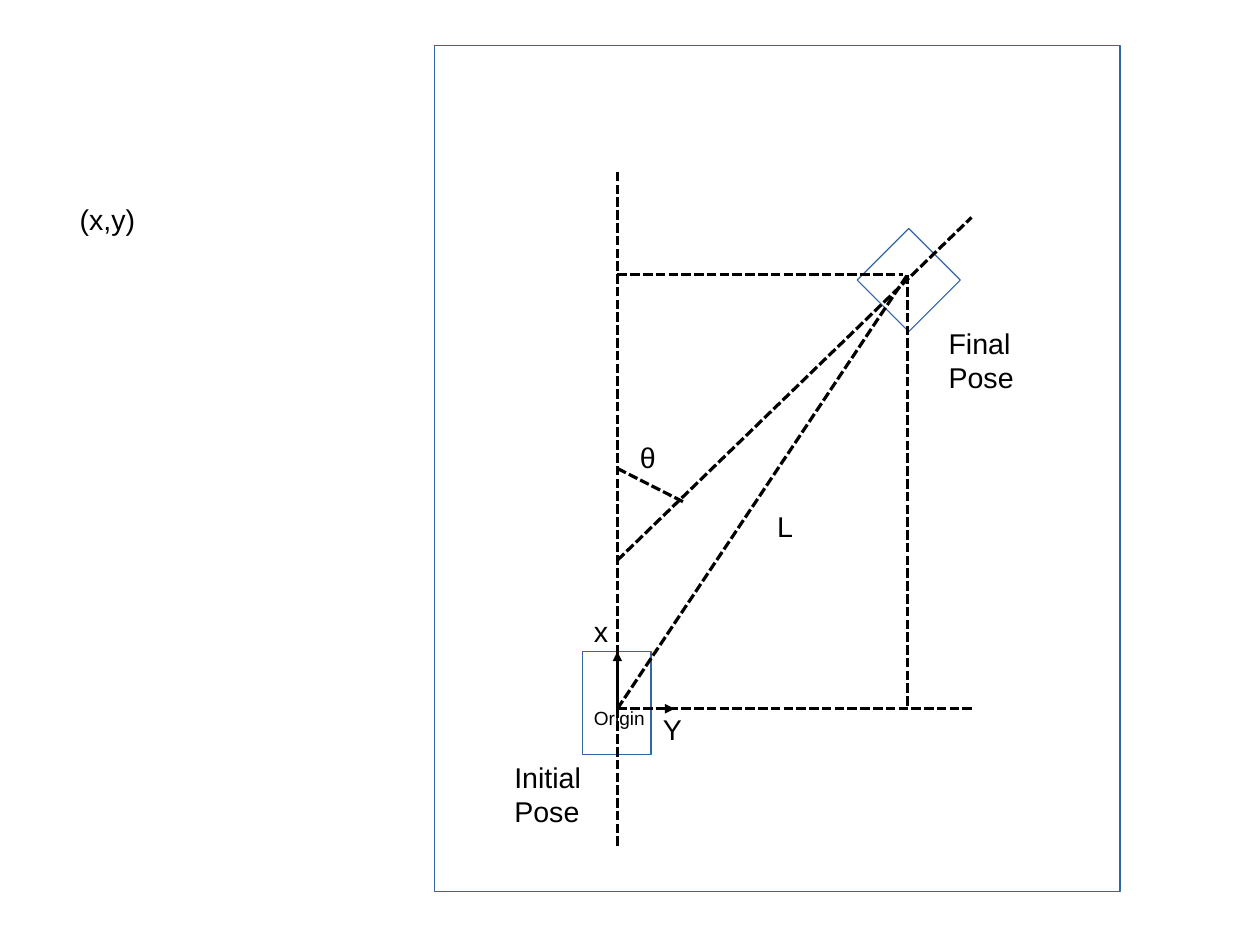
from dataclasses import dataclass

from lxml.etree import SubElement
from pptx import Presentation
from pptx.dml.color import RGBColor
from pptx.enum.dml import MSO_LINE
from pptx.enum.shapes import MSO_CONNECTOR, MSO_SHAPE
from pptx.enum.text import MSO_ANCHOR, PP_ALIGN
from pptx.oxml.ns import qn
from pptx.util import Cm, Pt


@dataclass(frozen=True)
class Theme:
    font: str = "Arial"
    ink: RGBColor = RGBColor(0x00, 0x00, 0x00)
    outline: RGBColor = RGBColor(0x34, 0x65, 0xA4)
    label_size: int = 18
    small_size: int = 12
    hairline: int = 0


class PoseDiagram:
    def __init__(self, slide, theme):
        self.shapes = slide.shapes
        self.theme = theme

    def outline(self, kind, left, top, width, height):
        shape = self.shapes.add_shape(kind, Cm(left), Cm(top), Cm(width), Cm(height))
        shape.shadow.inherit = False
        shape.fill.background()
        shape.line.color.rgb = self.theme.outline
        shape.line.width = Pt(self.theme.hairline)

    def dashed_line(self, start, end, arrow=False):
        line = self.shapes.add_connector(
            MSO_CONNECTOR.STRAIGHT, *(Cm(value) for value in (*start, *end)))
        line.line.color.rgb = self.theme.ink
        line.line.width = Pt(self.theme.hairline)
        line.line.dash_style = MSO_LINE.SQUARE_DOT
        properties = line.line._get_or_add_ln()
        if arrow:
            SubElement(properties, qn("a:tailEnd"), type="triangle")
        SubElement(properties.getparent(), qn("a:effectLst"))

    def label(self, text, left, top, width, height, size=None):
        box = self.shapes.add_textbox(Cm(left), Cm(top), Cm(width), Cm(height))
        frame = box.text_frame
        frame.word_wrap = True
        frame.vertical_anchor = MSO_ANCHOR.TOP
        frame.text = text
        paragraph = frame.paragraphs[0]
        paragraph.alignment = PP_ALIGN.LEFT
        font = paragraph.runs[0].font
        font.name = self.theme.font
        font.size = Pt(size or self.theme.label_size)
        font.color.rgb = self.theme.ink


def main():
    presentation = Presentation()
    presentation.slide_width = Cm(28)
    presentation.slide_height = Cm(21)
    slide = presentation.slides.add_slide(presentation.slide_layouts[6])
    theme = Theme()
    diagram = PoseDiagram(slide, theme)

    # Key points of the geometry, in centimetres
    origin_x, origin_y = origin = (13.72, 15.75)
    goal_x, goal_y = goal = (20.17, 6.1)
    axis_end = 21.59

    # Field and the two poses
    diagram.outline(MSO_SHAPE.RECTANGLE, 9.65, 1.02, 15.24, 18.8)
    diagram.outline(MSO_SHAPE.RECTANGLE, 12.95, 14.48, 1.52, 2.29)
    diagram.outline(MSO_SHAPE.DIAMOND, 19.05, 5.08, 2.29, 2.29)

    # Axes, projections, heading, angle mark and distance
    for start, end in (
        ((origin_x, 18.8), (origin_x, 3.81)),
        (origin, (axis_end, origin_y)),
        ((origin_x, goal_y), (20.07, goal_y)),
        (goal, (goal_x, origin_y)),
        ((origin_x, 12.45), (axis_end, 4.83)),
        ((origin_x, 10.41), (15.24, 11.18)),
        (origin, goal),
    ):
        diagram.dashed_line(start, end)

    # Unit arrows at the origin
    arrow_length = 1.27
    for tip in ((origin_x + arrow_length, origin_y),
                (origin_x, origin_y - arrow_length)):
        diagram.dashed_line(origin, tip, arrow=True)

    # Labels
    for text, left, top, width, height in (
        ("θ", 13.97, 9.65, 1.02, 0.97),
        ("L", 17.02, 11.18, 1.27, 0.97),
        ("Initial Pose", 11.18, 16.76, 2.29, 1.68),
        ("Final Pose", 20.83, 7.11, 2.29, 1.68),
        ("x", 12.95, 13.51, 0.76, 0.97),
        ("Y", 14.48, 15.7, 0.76, 1.68),
        ("(x,y)", 1.52, 4.37, 1.78, 0.97),
    ):
        diagram.label(text, left, top, width, height)
    diagram.label("Origin", 12.95, 15.57, 2.54, 1.45, theme.small_size)

    presentation.save("out.pptx")


if __name__ == "__main__":
    main()
